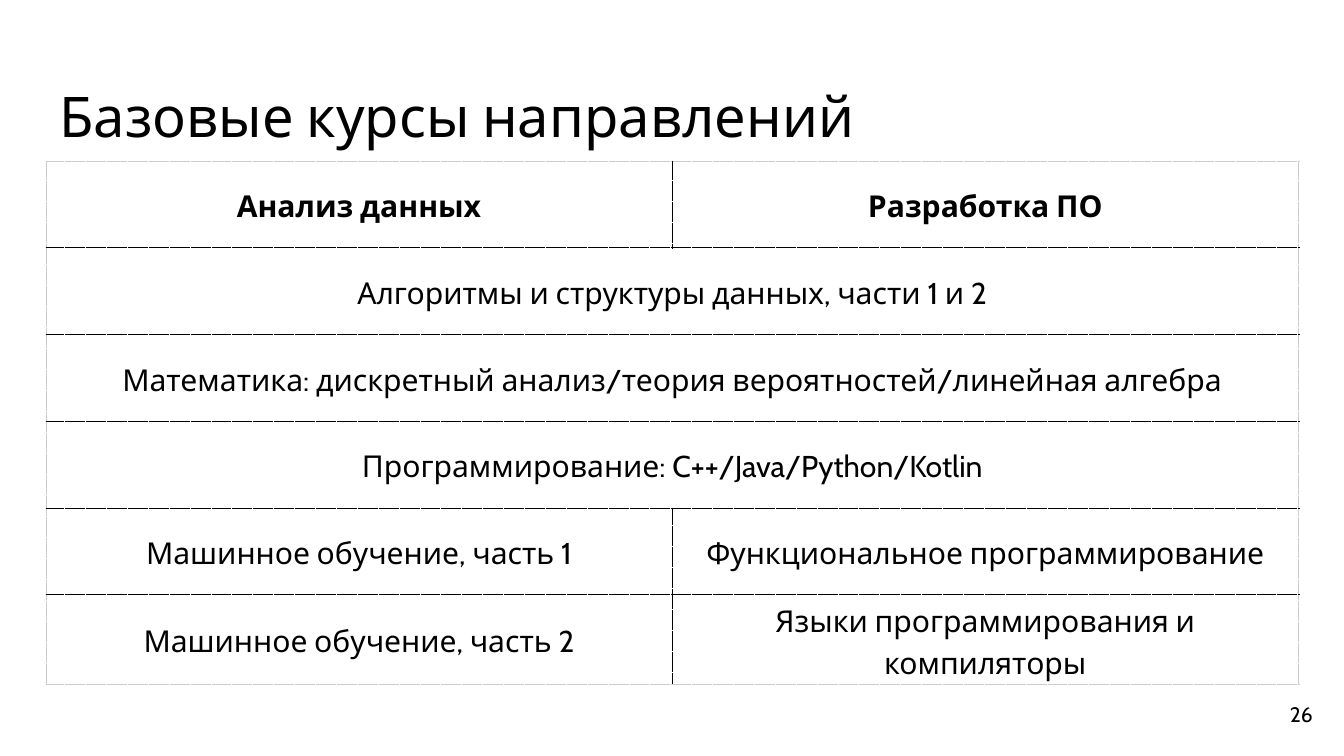
from lxml.etree import SubElement
from pptx import Presentation
from pptx.dml.color import RGBColor
from pptx.enum.text import MSO_ANCHOR, PP_ALIGN
from pptx.oxml.ns import qn
from pptx.util import Inches, Pt

WIDTH, HEIGHT = 26.66, 15
HEADERS = ["Анализ данных", "Разработка ПО"]
COURSES = [
    ["Алгоритмы и структуры данных, части 1 и 2"],
    ["Математика: дискретный анализ/теория вероятностей/линейная алгебра"],
    ["Программирование: C++/Java/Python/Kotlin"],
    ["Машинное обучение, часть 1", "Функциональное программирование"],
    ["Машинное обучение, часть 2", "Языки программирования и компиляторы"],
]


def rgb(value):
    """Turn a hex string into a colour."""
    return RGBColor.from_string(value)


def write(tf, text, size, font="Cabin", color="000000", bold=False,
          align=PP_ALIGN.LEFT, spacing=1.0):
    """Put one formatted paragraph into a text frame."""
    tf.word_wrap = True
    p = tf.paragraphs[0]
    p.alignment = align
    p.line_spacing = spacing
    r = p.add_run()
    r.text = text
    r.font.name = font
    r.font.size = Pt(size)
    r.font.bold = bold
    r.font.color.rgb = rgb(color)


class Deck:
    """Style and current slide; lengths are percent of the slide's size."""

    inner, outer, paper = "000000", "CCCCCC", "FFFFFF"

    def __init__(self):
        """Start a presentation with one blank slide."""
        self.prs = Presentation()
        self.prs.slide_width = Inches(WIDTH)
        self.prs.slide_height = Inches(HEIGHT)
        self.s = self.prs.slides.add_slide(self.prs.slide_layouts[6])

    def place(self, x, y, w, h):
        """Convert a percent box to slide lengths."""
        sizes = (WIDTH, HEIGHT) * 2
        return [Inches(v * size / 100) for v, size in zip((x, y, w, h), sizes)]

    def text(self, box, text, size, anchor=MSO_ANCHOR.TOP, **style):
        """Add a text box."""
        tf = self.s.shapes.add_textbox(*self.place(*box)).text_frame
        tf.margin_left = tf.margin_right = Inches(0.27)
        tf.margin_top = tf.margin_bottom = Inches(0.27)
        tf.vertical_anchor = anchor
        write(tf, text, size, **style)

    def border(self, cell, side, color):
        """Draw one dotted cell border."""
        ln = SubElement(cell._tc.get_or_add_tcPr(), qn(f"a:ln{side}"), w=str(Pt(0.75)))
        fill = SubElement(ln, qn("a:solidFill"))
        SubElement(fill, qn("a:srgbClr"), val=color)
        SubElement(ln, qn("a:prstDash"), val="dot")

    def table(self, box, rows, size):
        """Add a two-column table; a row with one text spans both columns."""
        x, y, w, h = self.place(*box)
        last_row, last_col = len(rows) - 1, 1
        table = self.s.shapes.add_table(len(rows), 2, x, y, w, h).table
        table.first_row = table.horz_banding = False
        for i, texts in enumerate(rows):
            spans = len(texts) == 1
            if spans:
                table.cell(i, 0).merge(table.cell(i, last_col))
            for j in range(2):
                cell = table.cell(i, j)
                edges = {"L": j == 0, "R": spans or j == last_col,
                         "T": i == 0, "B": i == last_row}
                for side, outside in edges.items():
                    self.border(cell, side, self.outer if outside else self.inner)
                cell.fill.solid()
                cell.fill.fore_color.rgb = rgb(self.paper)
                cell.margin_left = cell.margin_right = Inches(0.08)
                cell.margin_top = cell.margin_bottom = Inches(0.06)
                cell.vertical_anchor = MSO_ANCHOR.MIDDLE
                if j < len(texts):
                    write(cell.text_frame, texts[j], size, bold=i == 0,
                          align=PP_ALIGN.CENTER, spacing=1.15)


def main():
    """Build and save the slide."""
    deck = Deck()
    deck.text((3.41, 8.67, 93.2, 11.13), "Базовые курсы направлений", 80,
              spacing=Pt(100))
    deck.text((92.69, 90.67, 6, 7.67), "26", 30, anchor=MSO_ANCHOR.MIDDLE,
              align=PP_ALIGN.RIGHT)
    deck.table((3.41, 21.27, 93.2, 68.87), [HEADERS] + COURSES, 43)
    deck.prs.save("out.pptx")


if __name__ == "__main__":
    main()
